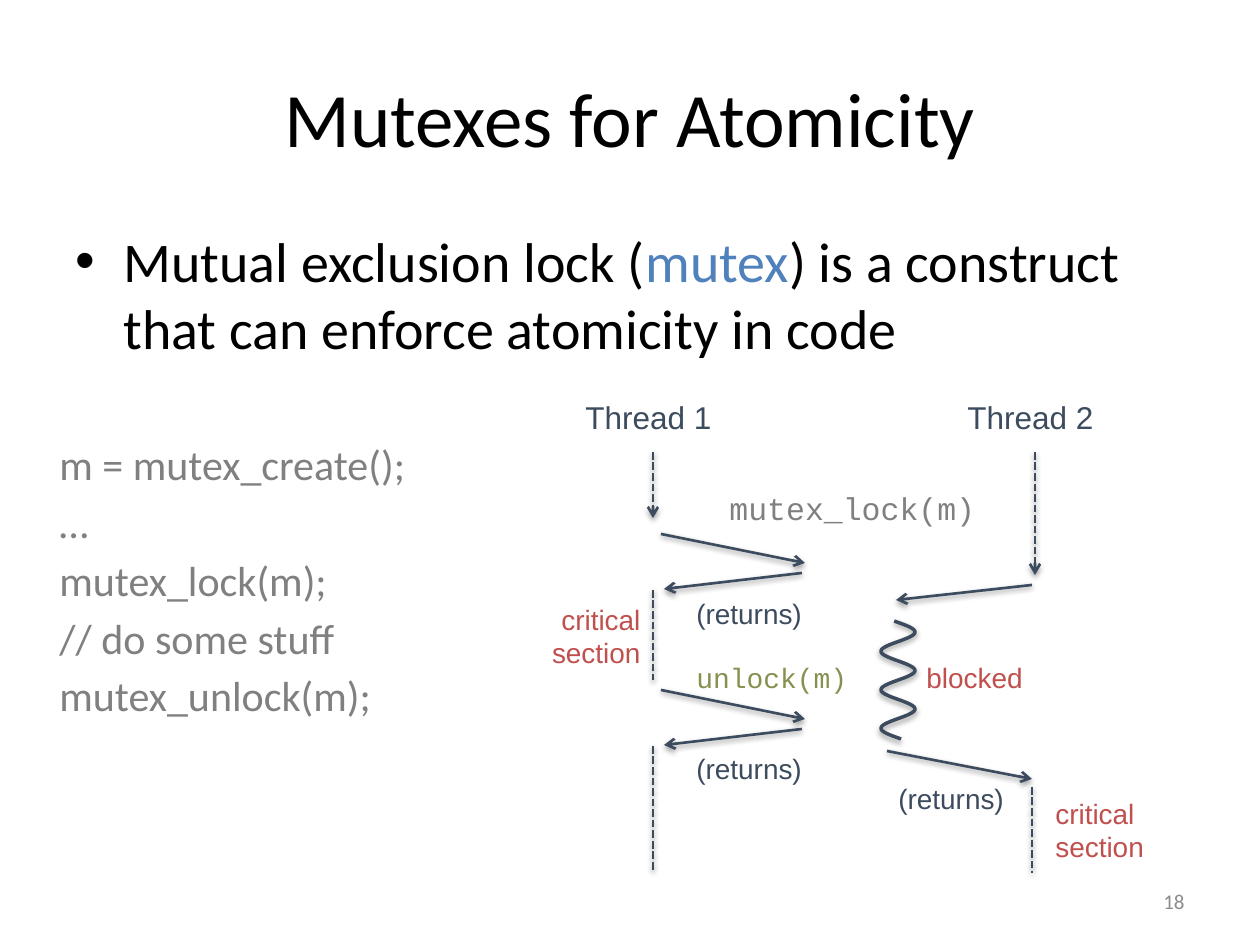
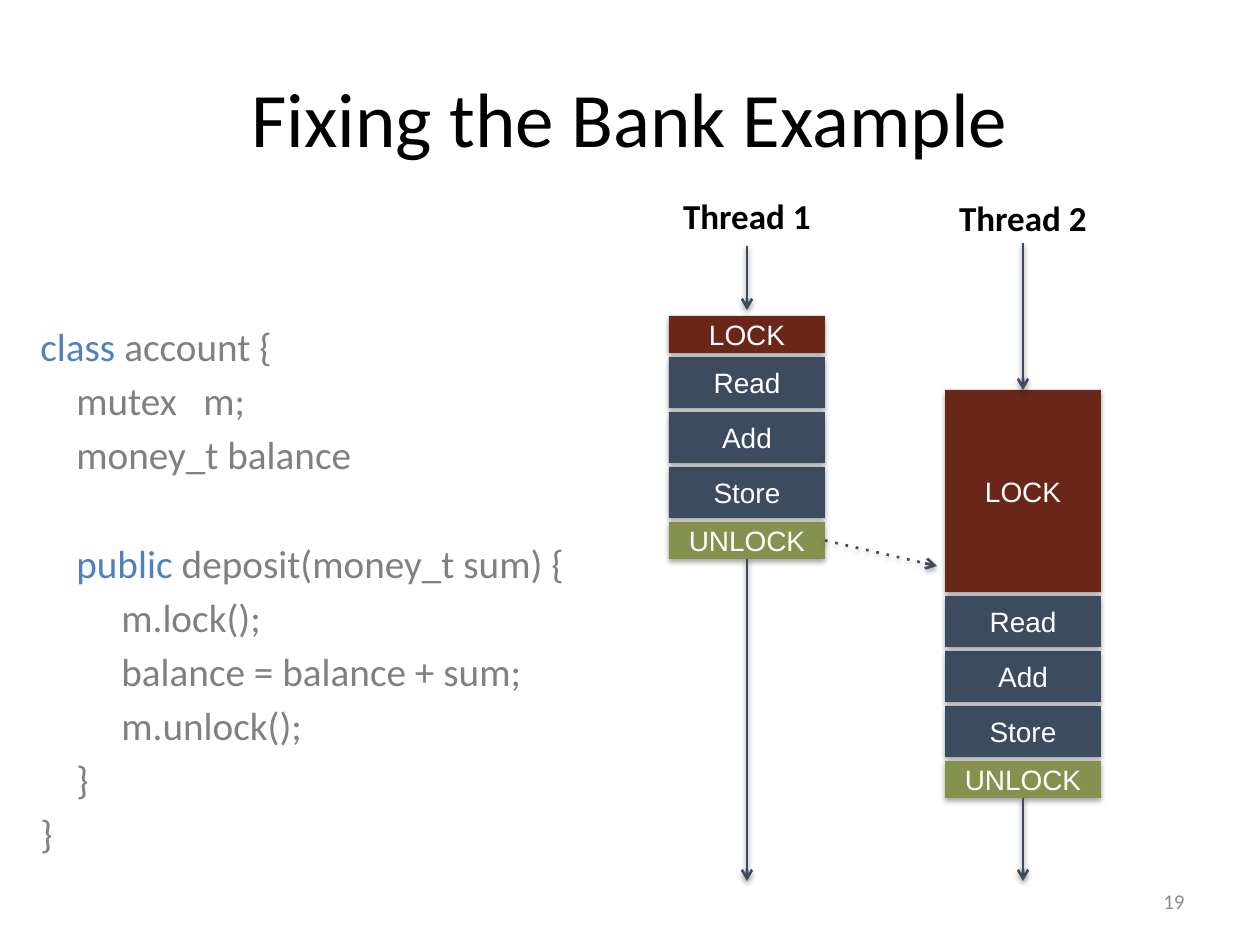
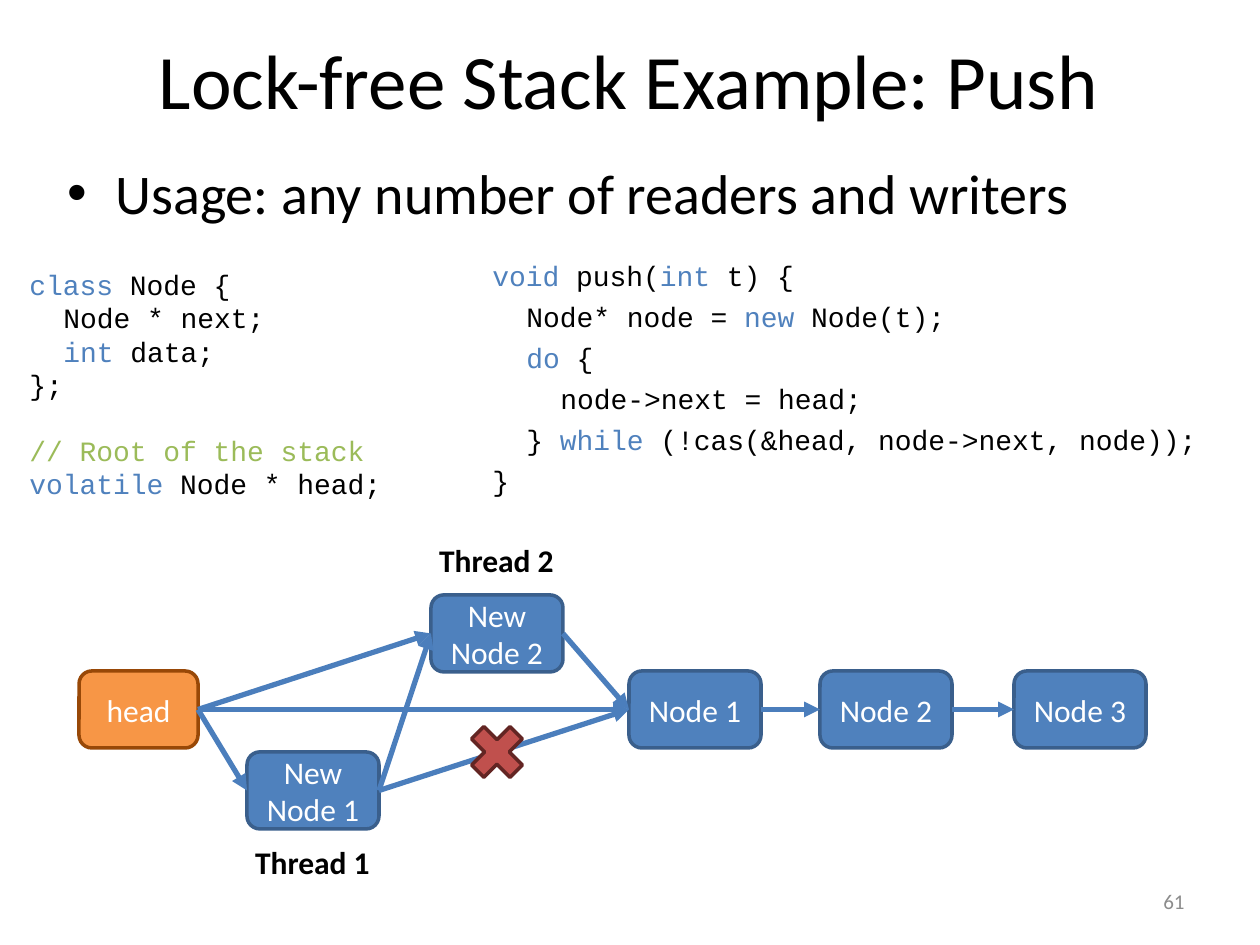
import itertools
import math
from collections import namedtuple

import lxml.etree
import pptx
import pptx.dml.color
import pptx.enum.shapes
import pptx.enum.text
import pptx.oxml.ns
import pptx.util

EMU_PER_PX = 914400 / 126
COLOURS = {
    "black": "000000", "white": "FFFFFF", "grey": "808080", "number": "8C8C8C",
    "slate": "3C4B5E", "lock": "6B261A", "unlock": "85914E", "alert": "C0504D",
    "alert edge": "632523", "keyword": "4F81BD", "comment": "9BBB59",
    "node": "4F81BD", "node edge": "3A5F8C", "head": "F79646",
    "head edge": "984807", "link": "4B7EBC",
}
SANS, BODY, MONO = "Arial", "Calibri", "Courier New"
ALIGN = pptx.enum.text.PP_ALIGN
ANCHOR = pptx.enum.text.MSO_ANCHOR
SHAPE = pptx.enum.shapes.MSO_SHAPE
STRAIGHT = pptx.enum.shapes.MSO_CONNECTOR.STRAIGHT
TOP, LEFT, BOTTOM, RIGHT = range(4)


class Box(namedtuple("Box", "left top width height")):
    """A rectangle in px."""

    def inside(self, x, y, width, height):
        return Box(self.left + x, self.top + y, width, height)

    def emu(self):
        return [px(value) for value in self]


def px(value):
    return pptx.util.Emu(round(value * EMU_PER_PX))


def rgb(name):
    return pptx.dml.color.RGBColor.from_string(COLOURS[name])


def add_element(parent, tag, **attributes):
    element = lxml.etree.SubElement(parent, pptx.oxml.ns.qn(tag))
    for key, value in attributes.items():
        element.set(key, str(value))
    return element


# Text
def format_run(span, size, font, colour, bold=False):
    span.font.size = pptx.util.Pt(size)
    span.font.name = font
    span.font.bold = bold
    span.font.color.rgb = rgb(colour)


def write(frame, text, size, font, colour, align=ALIGN.LEFT, bold=False):
    frame.text = text
    for para in frame.paragraphs:
        para.alignment = align
        for span in para.runs:
            format_run(span, size, font, colour, bold)


def write_highlighted(para, text, size, font, colour, keywords):
    """Add runs to a paragraph, with the keywords in their own colour."""
    def is_word(char):
        return char.isalnum() or char == "_"

    words = ["".join(group) for _, group in itertools.groupby(text, is_word)]
    for marked, group in itertools.groupby(words, lambda word: word in keywords):
        span = para.add_run()
        span.text = "".join(group)
        format_run(span, size, font, "keyword" if marked else colour)


def add_textbox(slide, box, wrap=True):
    frame = slide.shapes.add_textbox(*box.emu()).text_frame
    frame.word_wrap = wrap
    return frame


def add_label(slide, box, text, size, font, colour, align=ALIGN.LEFT,
              bold=False, wrap=False):
    frame = add_textbox(slide, box, wrap)
    frame.auto_size = pptx.enum.text.MSO_AUTO_SIZE.SHAPE_TO_FIT_TEXT
    write(frame, text, size, font, colour, align, bold)


def add_bullet(slide, box, text, keywords=()):
    para = add_textbox(slide, box).paragraphs[0]
    para.space_before = pptx.util.Pt(6)
    write_highlighted(para, text, 32, BODY, "black", keywords)
    properties = para._p.get_or_add_pPr()
    properties.set("marL", str(px(48)))
    properties.set("indent", str(px(-48)))
    add_element(properties, "a:buFont", typeface="Arial")
    add_element(properties, "a:buChar", char="•")


def add_code(slide, box, source, size, font, colour, keywords=(),
             comment=None, space_width=0, spacing=0, line_height=0):
    """Leading spaces become indents, empty lines become space before."""
    frame = add_textbox(slide, box)
    gap = spacing
    para = None
    for line in source.strip().splitlines():
        if not line:
            gap += spacing + line_height
            continue
        para = frame.add_paragraph() if para else frame.paragraphs[0]
        para.space_before = pptx.util.Pt(gap)
        gap = spacing
        text = line.lstrip()
        indent = px((len(line) - len(text)) * space_width)
        para._p.get_or_add_pPr().set("marL", str(indent))
        line_colour = comment if comment and text.startswith("//") else colour
        write_highlighted(para, text, size, font, line_colour, keywords)


# Shapes and lines
def add_shadow(shape, alpha=None, distance=0):
    """Add the soft shadow below a shape, or none when alpha is not given."""
    effects = add_element(shape._element.spPr, "a:effectLst")
    if alpha:
        shadow = add_element(effects, "a:outerShdw", blurRad=40000, dist=distance,
                             dir=5400000, rotWithShape=0)
        black = add_element(shadow, "a:srgbClr", val=COLOURS["black"])
        add_element(black, "a:alpha", val=alpha * 1000)


def add_line(slide, start, end, colour="slate", weight=1.5, dash=None,
             arrow="arrow", shadow=True):
    points = [px(value) for value in (*start, *end)]
    line = slide.shapes.add_connector(STRAIGHT, *points)
    line.line.color.rgb = rgb(colour)
    line.line.width = pptx.util.Pt(weight)
    outline = line.line._get_or_add_ln()
    if dash:
        add_element(outline, "a:prstDash", val=dash)
    if arrow:
        add_element(outline, "a:tailEnd", type=arrow)
    add_shadow(line, 38 if shadow else None, 20000)
    return line


def add_block(slide, box, text, fill, kind=SHAPE.RECTANGLE, edge=None,
              size=16, font=SANS):
    block = slide.shapes.add_shape(kind, *box.emu())
    block.fill.solid()
    block.fill.fore_color.rgb = rgb(fill)
    if edge:
        block.line.color.rgb = rgb(edge)
        block.line.width = pptx.util.Pt(2)
        block.shadow.inherit = False
    else:
        block.line.fill.background()
        add_shadow(block, 35, 23000)
    if text:
        block.text_frame.word_wrap = True
        block.text_frame.vertical_anchor = ANCHOR.MIDDLE
        write(block.text_frame, text, size, font, "white", ALIGN.CENTER)
    return block


# Parts shared by all slides
def start_slide(deck, title, number, title_box=Box(63, 38, 1134, 157)):
    slide = deck.slides.add_slide(deck.slide_layouts[5])
    heading = slide.shapes.title
    heading.left, heading.top, heading.width, heading.height = title_box.emu()
    heading.text_frame.vertical_anchor = ANCHOR.MIDDLE
    write(heading.text_frame, title, 44, BODY, "black", ALIGN.CENTER)
    footer = add_textbox(slide, Box(903, 876, 294, 50))
    footer.vertical_anchor = ANCHOR.MIDDLE
    write(footer, str(number), 12, BODY, "number", ALIGN.RIGHT)
    return slide


# Slide 1: two threads competing for a mutex
def draw_blocked_wave(slide, box, period=38.5, first_peak=11):
    middle = box.left + box.width / 2
    points = []
    for y in range(box.height + 1):
        swing = math.cos(2 * math.pi * (y - first_peak) / period)
        points.append((px(middle + swing * box.width / 2), px(box.top + y)))
    builder = slide.shapes.build_freeform(*points[0], scale=1.0)
    builder.add_line_segments(points[1:], close=False)
    wave = builder.convert_to_shape()
    wave.fill.background()
    wave.line.color.rgb = rgb("slate")
    wave.line.width = pptx.util.Pt(2)
    add_shadow(wave, 38, 20000)


def draw_mutex_timeline(slide, box):
    def line(x1, y1, x2, y2, **style):
        add_line(slide, (box.left + x1, box.top + y1),
                 (box.left + x2, box.top + y2), **style)

    # Running time of each thread
    for x, top, bottom, arrow in (
            (123, 62, 128, "arrow"), (123, 200, 290, None), (123, 356, 481, None),
            (505, 62, 185, "arrow"), (502, 397, 483, None)):
        line(x, top, x, bottom, dash="sysDash", arrow=arrow)

    # Calls and returns of thread 1, then of thread 2
    for top in (144, 300):
        line(131, top, 275, top + 29)
        line(272, top + 39, 134, top + 55)
    line(502, 195, 366, 210)
    line(357, 361, 502, 389)
    draw_blocked_wave(slide, box.inside(351, 231, 34, 118))

    # Labels
    for x, text in ((43, "Thread 1"), (425, "Thread 2")):
        add_label(slide, box.inside(x, 2, 160, 51), text, 18, SANS, "slate", wrap=True)
    for x, y in ((154, 200), (154, 355), (356, 385)):
        add_label(slide, box.inside(x, y, 138, 47), "(returns)", 16, SANS, "slate",
                  wrap=True)
    for x, y, align in ((8, 206, ALIGN.RIGHT), (513, 400, ALIGN.LEFT)):
        add_label(slide, box.inside(x, y, 115, 81), "critical\nsection", 16, SANS,
                  "alert", align)
    add_label(slide, box.inside(187, 93, 272, 50), "mutex_lock(m)", 18, MONO, "grey")
    add_label(slide, box.inside(154, 264, 179, 47), "unlock(m)", 16, MONO, "unlock")
    add_label(slide, box.inside(384, 264, 122, 47), "blocked", 16, SANS, "alert")


MUTEX_CODE = """
m = mutex_create();
…
mutex_lock(m);
// do some stuff
mutex_unlock(m);
"""


def build_mutex_slide(deck):
    slide = start_slide(deck, "Mutexes for Atomicity", 18)
    add_bullet(slide, Box(63, 220, 1134, 178),
               "Mutual exclusion lock (mutex) is a construct "
               "that can enforce atomicity in code", {"mutex"})
    add_code(slide, Box(47, 432, 397, 461), MUTEX_CODE, 24, BODY, "grey", spacing=4.3)
    draw_mutex_timeline(slide, Box(530, 390, 640, 490))


# Slide 2: the account guarded by a lock
ACCOUNT_CODE = """
class account {
    mutex   m;
    money_t balance

    public deposit(money_t sum) {
         m.lock();
         balance = balance + sum;
         m.unlock();
    }
}
"""


def draw_lock_column(slide, box, lock_height, gap=4):
    """Stack the steps of one thread and return the first and last block."""
    steps = (("LOCK", "lock", lock_height), ("Read", "slate", 51),
             ("Add", "slate", 51), ("Store", "slate", 51), ("UNLOCK", "unlock", 37))
    blocks = []
    top = 0
    for text, fill, height in steps:
        blocks.append(add_block(slide, box.inside(0, top, box.width, height), text, fill))
        top += height + gap
    return blocks[0], blocks[-1]


def draw_bank_threads(slide, box):
    columns = []
    for number, x, label_top, top, lock_height, line_top, line_end in (
            (1, 0, 0, 128, 37, 58, 122), (2, 276, 2, 202, 202, 55, 202)):
        add_label(slide, box.inside(x + 1, label_top, 154, 55), f"Thread {number}",
                  20, BODY, "black", ALIGN.CENTER, True)
        lock, unlock = draw_lock_column(slide, box.inside(x, top, 156, 0), lock_height)
        middle = box.left + x + 78
        arrival = add_line(slide, (middle, box.top + line_top),
                           (middle, box.top + line_end))
        leaving = add_line(slide, (middle, box.top + 400),
                           (middle, box.top + box.height))
        leaving.begin_connect(unlock, BOTTOM)
        columns.append((lock, unlock, arrival))
    (_, first_unlock, _), (second_lock, _, second_arrival) = columns
    second_arrival.end_connect(second_lock, TOP)
    handover = add_line(slide, (box.left + 156, box.top + 353),
                        (box.left + 268, box.top + 378), dash="dot")
    handover.begin_connect(first_unlock, RIGHT)


def build_bank_slide(deck):
    slide = start_slide(deck, "Fixing the Bank Example", 19)
    add_code(slide, Box(28, 316, 568, 499), ACCOUNT_CODE, 22.4, BODY, "grey",
             {"class", "public"}, space_width=9, spacing=4, line_height=27.3)
    draw_bank_threads(slide, Box(669, 188, 432, 693))


# Slide 3: pushing on a lock-free stack
KEYWORDS = {"class", "int", "volatile", "void", "new", "do", "while"}
NODE_CODE = """
class Node {
  Node * next;
  int data;
};

// Root of the stack
volatile Node * head;
"""
PUSH_CODE = """
void push(int t) {
  Node* node = new Node(t);
  do {
    node->next = head;
  } while (!cas(&head, node->next, node));
}
"""


def draw_stack(slide, box):
    nodes = {}
    for name, x, y, width, fill in (
            ("head", 0, 136, 119, "head"), ("Node 1", 550, 136, 132, "node"),
            ("Node 2", 741, 136, 132, "node"), ("Node 3", 935, 136, 132, "node"),
            ("New Node 2", 352, 60, 132, "node"), ("New Node 1", 168, 217, 132, "node")):
        nodes[name] = add_block(slide, box.inside(x, y, width, 77), name, fill,
                                SHAPE.ROUNDED_RECTANGLE, fill + " edge", 18, BODY)

    for source, target in (
            ("Node 1", "Node 2"), ("Node 2", "Node 3"), ("head", "Node 1"),
            ("New Node 1", "Node 1"), ("head", "New Node 2"), ("New Node 2", "Node 1"),
            ("New Node 1", "New Node 2"), ("head", "New Node 1")):
        link = add_line(slide, (0, 0), (1, 1), "link", 3, arrow="triangle", shadow=False)
        link.begin_connect(nodes[source], RIGHT)
        link.end_connect(nodes[target], LEFT)

    # The failed swap
    add_block(slide, box.inside(381, 180, 74, 74), "", "alert",
              SHAPE.MATH_MULTIPLY, "alert edge")
    for text, x, y in (("Thread 1", 163, 302), ("Thread 2", 347, 0)):
        add_label(slide, box.inside(x, y, 141, 50), text, 18, BODY, "black",
                  ALIGN.CENTER, True)


def build_stack_slide(deck):
    slide = start_slide(deck, "Lock-free Stack Example: Push", 61,
                        Box(62, 0, 1134, 157))
    add_bullet(slide, Box(55, 152, 1174, 89), "Usage: any number of readers and writers")
    code_style = dict(size=16, font=MONO, colour="black", keywords=KEYWORDS,
                      comment="comment", space_width=17)
    add_code(slide, Box(17, 261, 416, 251), NODE_CODE, line_height=18.1, **code_style)
    add_code(slide, Box(480, 252, 766, 268), PUSH_CODE, spacing=4.3, **code_style)
    draw_stack(slide, Box(79, 535, 1067, 352))


def main():
    deck = pptx.Presentation()
    deck.slide_width, deck.slide_height = px(1260), px(945)
    build_mutex_slide(deck)
    build_bank_slide(deck)
    build_stack_slide(deck)
    deck.save("out.pptx")


if __name__ == "__main__":
    main()
